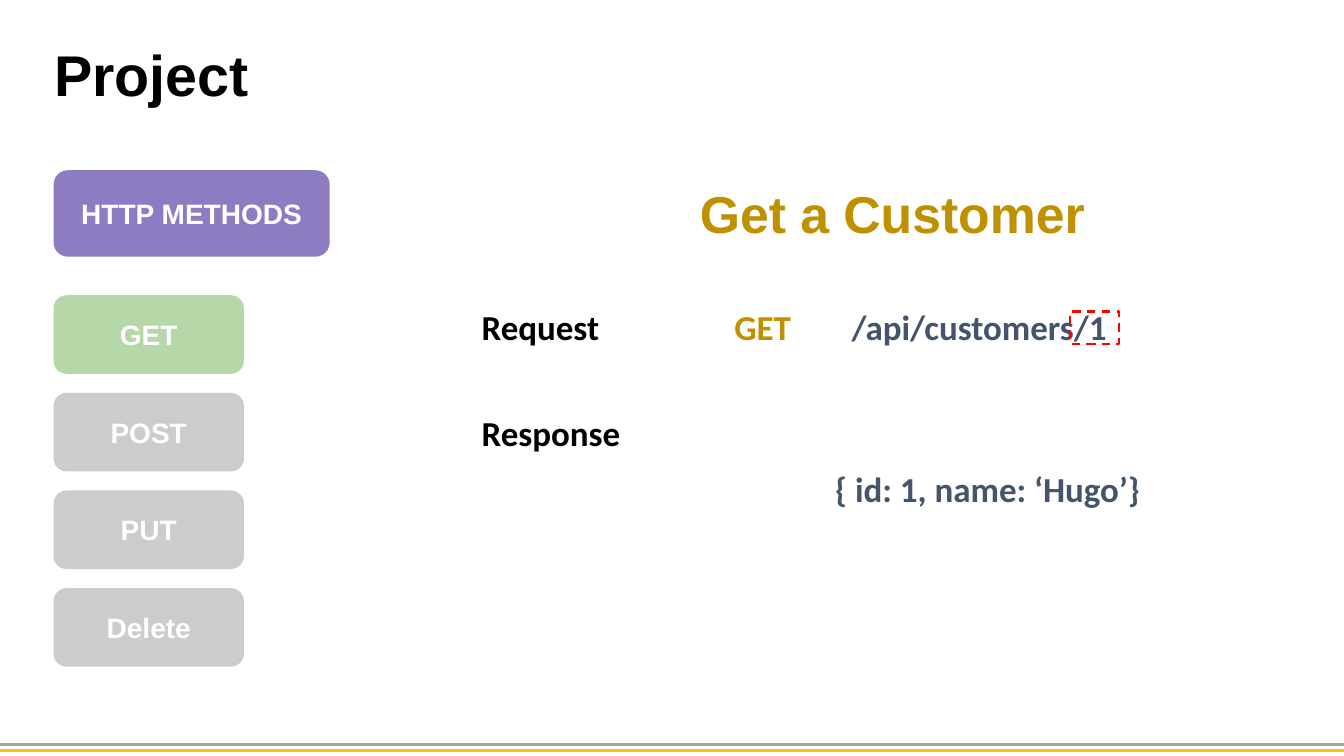
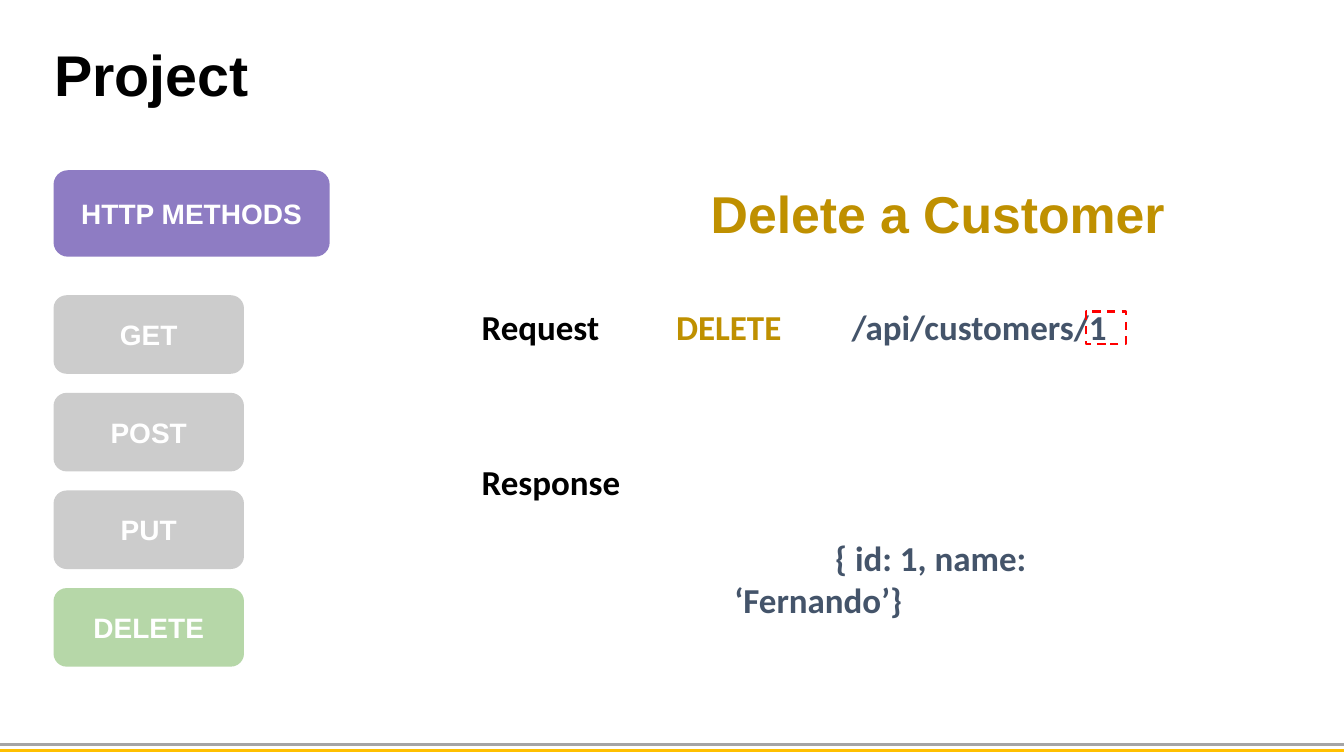
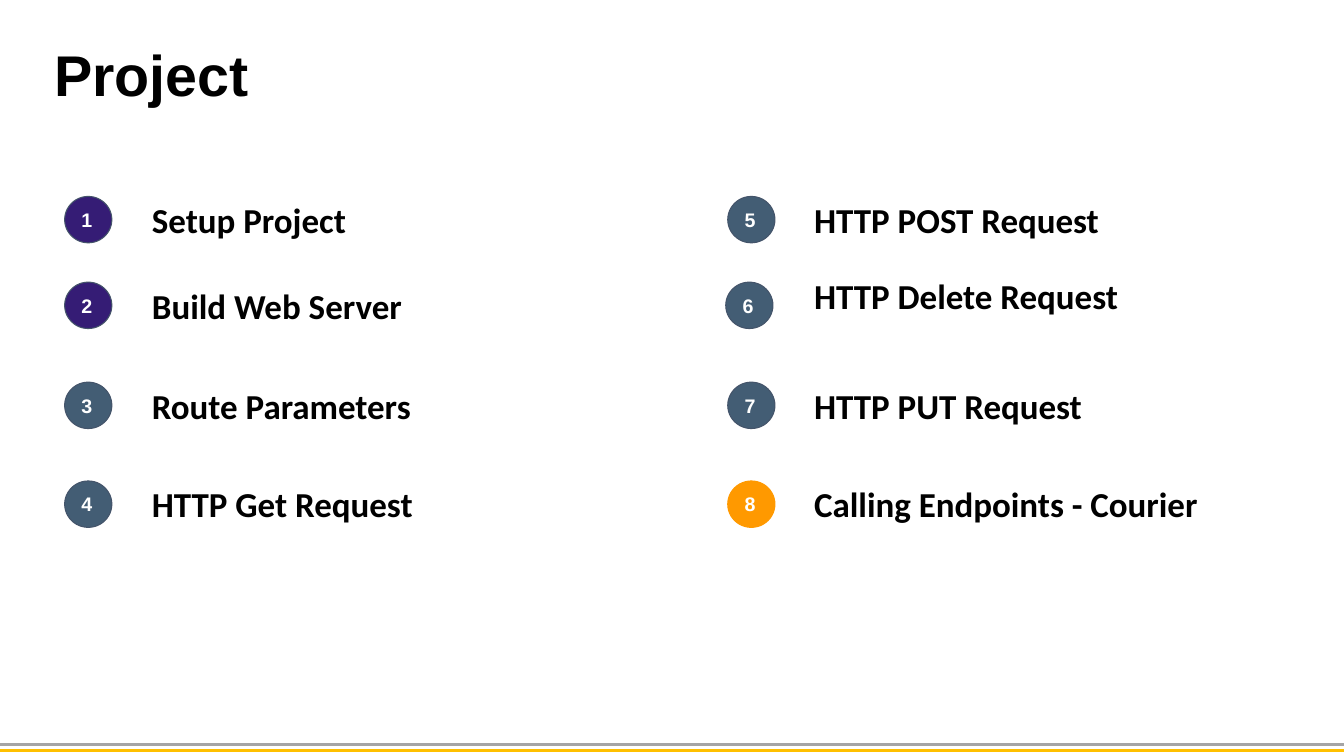
from lxml import etree
from pptx import Presentation
from pptx.dml.color import RGBColor
from pptx.enum import dml, shapes, text
from pptx.oxml import ns
from pptx.util import Cm, Pt

COLORS = {
    "black": "000000", "white": "FFFFFF", "slate": "44546A", "gold": "BF9000",
    "purple": "8E7CC3", "green": "B6D7A8", "gray": "CCCCCC", "red": "FF0000",
    "indigo": "351C75", "steel": "435D74", "orange": "FF9900",
    "band_gray": "A5A5A5", "band_yellow": "FFC000",
}
SHAPE = shapes.MSO_SHAPE
CENTER = text.PP_ALIGN.CENTER


def write(box, words, size=25, color="black", font="Calibri", align=text.PP_ALIGN.LEFT,
          anchor=text.MSO_ANCHOR.TOP, padding=0.25, indent=0):
    """Fill a box with one bold paragraph."""
    frame = box.text_frame
    frame.word_wrap = True
    frame.auto_size = text.MSO_AUTO_SIZE.NONE
    frame.vertical_anchor = anchor
    frame.margin_left = frame.margin_right = Cm(0.25)
    frame.margin_top = frame.margin_bottom = Cm(padding)
    para = frame.paragraphs[0]
    para.alignment = align
    if indent:
        para._p.get_or_add_pPr().set("indent", str(Cm(indent)))
    span = para.add_run()
    span.text = words
    span.font.name, span.font.size, span.font.bold = font, Pt(size), True
    span.font.color.rgb = RGBColor.from_string(COLORS[color])


def draw(page, kind, bounds, fill=None, line=None, weight=0.75):
    """Add a flat shape; bounds are left, top, width, height in cm."""
    shape = page.shapes.add_shape(kind, *map(Cm, bounds))
    shape.shadow.inherit = False
    if fill:
        shape.fill.solid()
        shape.fill.fore_color.rgb = RGBColor.from_string(COLORS[fill])
    else:
        shape.fill.background()
    if line:
        shape.line.color.rgb = RGBColor.from_string(COLORS[line])
        shape.line.width = Pt(weight)
    else:
        shape.line.fill.background()
    return shape


deck = Presentation()
deck.slide_width, deck.slide_height = Cm(33.87), Cm(19.05)

# Shared layout: title position and the two bottom bands
layout = deck.slide_layouts.get_by_name("Title Only")
heading = layout.placeholders[0]
heading.left, heading.top, heading.width, heading.height = map(Cm, (1.12, 0.86, 16.54, 1.85))
pages = [deck.slides.add_slide(layout) for _ in range(3)]
for number, (top, color) in enumerate([(18.77, "band_gray"), (18.92, "band_yellow")]):
    band = pages[0].shapes.add_connector(shapes.MSO_CONNECTOR.STRAIGHT,
                                         0, Cm(top), deck.slide_width, Cm(top))
    band.line.color.rgb = RGBColor.from_string(COLORS[color])
    band.line.width = Pt(2.25)
    etree.SubElement(band.element.spPr, ns.qn("a:effectLst"))
    band.element.nvCxnSpPr.cNvPr.set("id", str(101 + number))
    layout.shapes.element.append(band.element)

for page in pages:
    write(page.shapes.title, "Project", size=41, font="Arial", padding=0.13)

# Slides 1 and 2: one HTTP method each
calls = [
    dict(methods=["GET", "POST", "PUT", "Delete"], active=0,
         topic="Get a Customer", topic_width=11.4, verb_left=18.26, verb_width=2.03,
         response_top=10.11, answer_top=11.53, answer="{ id: 1, name: ‘Hugo’}",
         marker=(26.97, 7.85, 1.24, 0.81)),
    dict(methods=["GET", "POST", "PUT", "DELETE"], active=3,
         topic="Delete a Customer", topic_width=13.69, verb_left=16.79, verb_width=3.38,
         response_top=11.35, answer_top=13.28, answer="{ id: 1, name: ‘Fernando’}",
         marker=(27.36, 7.85, 1.02, 0.81)),
]
for page, call in zip(pages, calls):
    # Method buttons
    buttons = [("HTTP METHODS", (1.35, 4.29, 6.96, 2.18), "purple")]
    for row, method in enumerate(call["methods"]):
        fill = "green" if row == call["active"] else "gray"
        buttons.append((method, (1.35, 7.44 + 2.46 * row, 4.8, 1.98), fill))
    for words, bounds, fill in buttons:
        button = draw(page, SHAPE.ROUNDED_RECTANGLE, bounds, fill)
        write(button, words, size=20, color="white", font="Arial", align=CENTER,
              anchor=text.MSO_ANCHOR.MIDDLE)

    # Request and response
    topic = page.shapes.add_textbox(*map(Cm, (16.79, 4.45, call["topic_width"], 1.85)))
    write(topic, call["topic"], size=37, color="gold", font="Arial", align=CENTER, padding=0.13)
    verb = call["methods"][call["active"]]
    labels = [
        ("Request", (11.89, 7.44, 3.58, 1.57), "black", 0),
        ("Response", (11.89, call["response_top"], 4.09, 1.57), "black", 0),
        ("/api/customers/1", (21.21, 7.44, 7.37, 1.57), "slate", 0),
        (verb, (call["verb_left"], 7.44, call["verb_width"], 1.57), "gold", 0),
        (call["answer"], (18.26, call["answer_top"], 11.94, 3.73), "slate", 2.54),
    ]
    for words, bounds, color, indent in labels:
        write(page.shapes.add_textbox(*map(Cm, bounds)), words, color=color, indent=indent)
    marker = draw(page, SHAPE.RECTANGLE, call["marker"], line="red", weight=1.5)
    marker.line.dash_style = dml.MSO_LINE.DASH

# Slide 3: numbered steps in two columns
row_tops = [4.95, 7.11, 9.63, 12.12]
steps = [  # words, badge fill, badge left, label left, label width, label rise
    ("Setup Project", "indigo", 1.63, 3.58, 7.54, 0.2),
    ("Build Web Server", "indigo", 1.63, 3.58, 7.54, 0.2),
    ("Route Parameters", "steel", 1.63, 3.58, 7.54, 0.2),
    ("HTTP Get Request", "steel", 1.63, 3.58, 7.54, 0.2),
    ("HTTP POST Request", "steel", 18.34, 20.27, 9.88, 0.2),
    ("HTTP Delete Request", "steel", 18.29, 20.27, 9.88, 0.43),
    ("HTTP PUT Request", "steel", 18.34, 20.27, 7.54, 0.2),
    ("Calling Endpoints - Courier", "orange", 18.34, 20.27, 10.95, 0.2),
]
for index, (words, fill, badge_left, label_left, width, rise) in enumerate(steps):
    top = row_tops[index % len(row_tops)]
    outline = "orange" if fill == "orange" else "slate"
    badge = draw(pages[2], SHAPE.OVAL, (badge_left, top, 1.19, 1.17), fill, outline)
    write(badge, str(index + 1), size=14, color="white", font="Arial",
          anchor=text.MSO_ANCHOR.MIDDLE)
    label = pages[2].shapes.add_textbox(*map(Cm, (label_left, top - rise, width, 1.57)))
    write(label, words)

deck.save("out.pptx")
